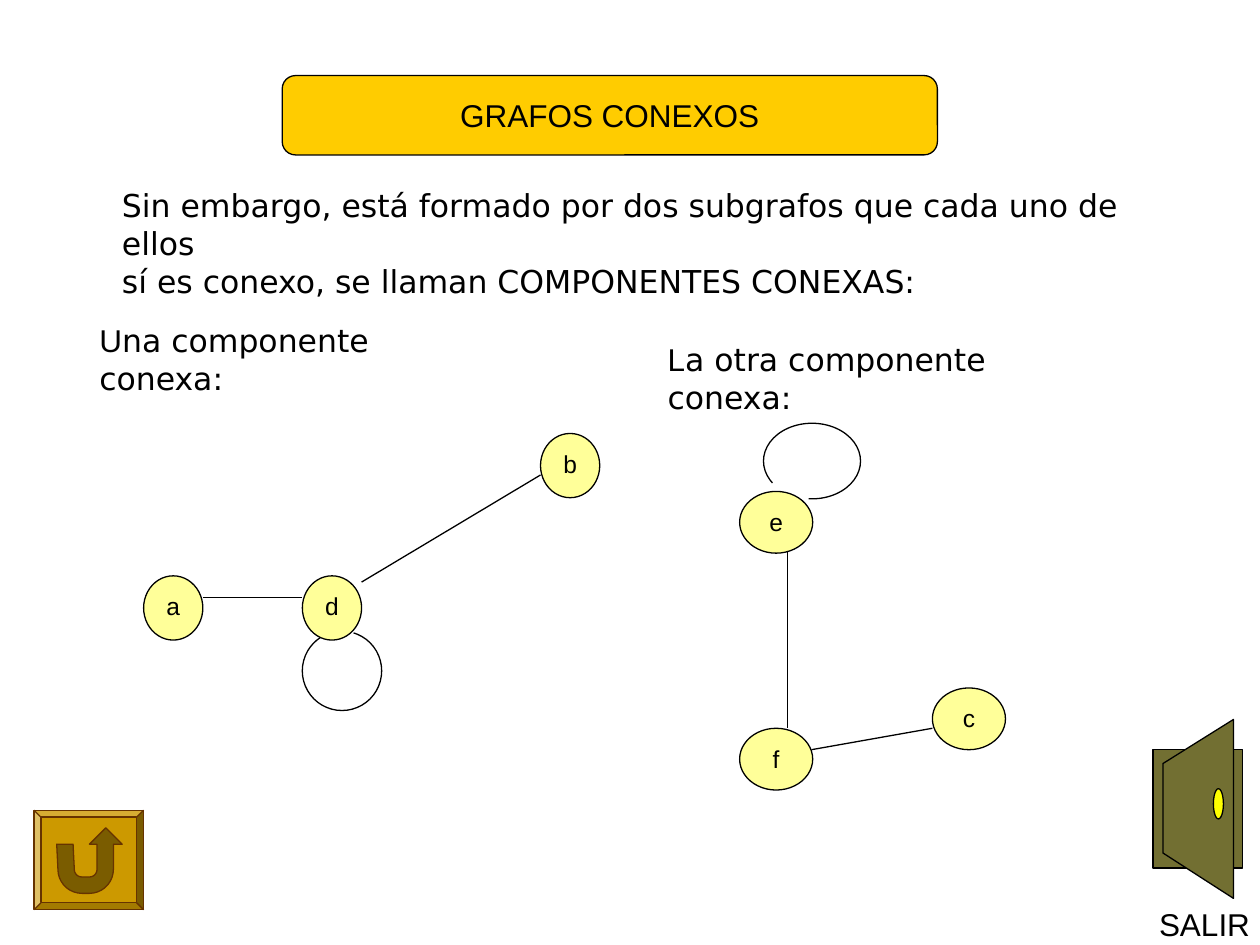
"""Build the slide on the connected components of a graph."""
import math
from dataclasses import dataclass

import lxml.etree
import pptx
import pptx.dml.color
import pptx.enum.shapes
import pptx.enum.text
import pptx.oxml.ns
import pptx.util

Inches = pptx.util.Inches
RGBColor = pptx.dml.color.RGBColor
Kind = pptx.enum.shapes.MSO_SHAPE
Align = pptx.enum.text.PP_ALIGN
Anchor = pptx.enum.text.MSO_ANCHOR

BLACK = RGBColor(0x00, 0x00, 0x00)
TITLE_GOLD = RGBColor(0xFF, 0xCC, 0x00)
NODE_YELLOW = RGBColor(0xFF, 0xFF, 0x99)
DOOR_OLIVE = RGBColor(0x72, 0x6F, 0x32)
KNOB_YELLOW = RGBColor(0xFF, 0xFF, 0x00)
BUTTON_GOLD = RGBColor(0xCC, 0x99, 0x00)
ARROW_BROWN = RGBColor(0x7A, 0x5C, 0x00)
BUTTON_EDGE = RGBColor(0x66, 0x33, 0x00)
LATIN = "Arial"
BODY = "DejaVu Sans"
LINE_WIDTH = pptx.util.Pt(0.75)


@dataclass(frozen=True)
class Node:
    label: str
    left: float
    top: float


@dataclass(frozen=True)
class Edge:
    start: tuple[float, float]
    end: tuple[float, float]


@dataclass(frozen=True)
class Loop:
    area: tuple[float, float, float, float]
    start_angle: float
    end_angle: float


@dataclass(frozen=True)
class Component:
    node_size: tuple[float, float]
    edges: tuple[Edge, ...]
    nodes: tuple[Node, ...]
    loop: Loop


@dataclass(frozen=True)
class Caption:
    area: tuple[float, float, float, float]
    lines: tuple[tuple[tuple[str, str], ...], ...]


COMPONENTS = (
    Component(
        (0.47, 0.51),
        (Edge((2.87, 4.62), (4.29, 3.77)), Edge((1.61, 4.74), (2.4, 4.74))),
        (Node("b", 4.29, 3.44), Node("a", 1.14, 4.57), Node("d", 2.4, 4.57)),
        Loop((2.4, 5.01, 0.63, 0.63), 287, 237),
    ),
    Component(
        (0.58, 0.49),
        (Edge((6.25, 4.38), (6.25, 5.78)), Edge((6.44, 5.95), (7.4, 5.78))),
        (Node("e", 5.87, 3.9), Node("f", 5.87, 5.78), Node("c", 7.4, 5.46)),
        Loop((6.06, 3.36, 0.77, 0.6), 151, 95),
    ),
)
CAPTIONS = (
    Caption((0.87, 1.58, 8.3, 0.7), (
        (("Sin embargo, está formado por dos subgrafos que cada uno de ellos", BODY),),
        (("sí es conexo, se llaman COMPONENTES CONEXAS:", BODY),),
    )),
    Caption((0.69, 2.65, 3.2, 0.4), ((("U", LATIN), ("na componente conexa:", BODY)),)),
    Caption((5.2, 2.8, 3.55, 0.4), ((("L", LATIN), ("a otra componente conexa:", BODY)),)),
)


def add_text(para, text: str, *, size: float = 18, font: str = LATIN, color: RGBColor = BLACK) -> None:
    span = para.add_run()
    span.text = text
    span.font.size = pptx.util.Pt(size)
    span.font.name = font
    span.font.color.rgb = color


def style(shape, fill: RGBColor | None, edge: RGBColor = BLACK) -> None:
    shape.shadow.inherit = False
    if fill is None:
        shape.fill.background()
    else:
        shape.fill.solid()
        shape.fill.fore_color.rgb = fill
    shape.line.color.rgb = edge
    shape.line.width = LINE_WIDTH


def draw_shape(page, kind, area, fill: RGBColor | None, edge: RGBColor = BLACK,
               adjustments: tuple[float, ...] = ()):
    shape = page.shapes.add_shape(kind, *map(Inches, area))
    for index, value in enumerate(adjustments):
        shape.adjustments[index] = value
    style(shape, fill, edge)
    return shape


def draw_outline(page, points: list[tuple[float, float]], fill: RGBColor, edge: RGBColor) -> None:
    corners = [(Inches(x), Inches(y)) for x, y in points]
    builder = page.shapes.build_freeform(*corners[0])
    builder.add_line_segments(corners[1:], close=True)
    style(builder.convert_to_shape(), fill, edge)


def draw_edge(page, edge: Edge) -> None:
    line = page.shapes.add_connector(
        pptx.enum.shapes.MSO_CONNECTOR.STRAIGHT, *map(Inches, edge.start + edge.end))
    line.line.color.rgb = BLACK
    line.line.width = LINE_WIDTH
    lxml.etree.SubElement(line._element.spPr, pptx.oxml.ns.qn("a:effectLst"))


def draw_component(page, component: Component) -> None:
    for edge in component.edges:
        draw_edge(page, edge)
    for node in component.nodes:
        oval = draw_shape(page, Kind.OVAL, (node.left, node.top, *component.node_size), NODE_YELLOW)
        oval.text_frame.vertical_anchor = Anchor.TOP
        para = oval.text_frame.paragraphs[0]
        para.alignment = Align.CENTER
        add_text(para, node.label, size=14)
    loop = component.loop
    draw_shape(page, Kind.ARC, loop.area, None,
               adjustments=(loop.start_angle * 0.6, loop.end_angle * 0.6))


def draw_caption(page, caption: Caption) -> None:
    frame = page.shapes.add_textbox(*map(Inches, caption.area)).text_frame
    frame.word_wrap = True
    frame.vertical_anchor = Anchor.MIDDLE
    for index, line in enumerate(caption.lines):
        para = frame.add_paragraph() if index else frame.paragraphs[0]
        for text, font in line:
            add_text(para, text, font=font)


def draw_title(page) -> None:
    banner = draw_shape(page, Kind.ROUNDED_RECTANGLE, (2.24, 0.6, 5.2, 0.63), TITLE_GOLD,
                        adjustments=(0.167,))
    banner.text_frame.vertical_anchor = Anchor.MIDDLE
    para = banner.text_frame.paragraphs[0]
    para.alignment = Align.CENTER
    add_text(para, "GRAFOS CONEXOS")


def draw_exit_door(page) -> None:
    draw_shape(page, Kind.RECTANGLE, (9.15, 5.95, 0.71, 0.94), DOOR_OLIVE)
    draw_outline(page, [(9.79, 5.71), (9.79, 7.13), (9.23, 6.77), (9.23, 6.06)], DOOR_OLIVE, BLACK)
    draw_shape(page, Kind.OVAL, (9.63, 6.26, 0.08, 0.24), KNOB_YELLOW)
    box = page.shapes.add_textbox(*map(Inches, (9.1, 7.13, 0.92, 0.4)))
    box.text_frame.word_wrap = False
    add_text(box.text_frame.paragraphs[0], "SALIR")


def bend(radius: float) -> list[tuple[float, float]]:
    """Return the lower half of the U, from right to left."""
    return [(center + radius * math.cos(math.radians(angle)),
             6.9 + radius * math.sin(math.radians(angle)))
            for center, first in ((0.71, 0), (0.65, 90))
            for angle in range(first, first + 91, 10)]


def draw_return_button(page) -> None:
    draw_shape(page, Kind.BEVEL, (0.27, 6.43, 0.87, 0.79), BUTTON_GOLD, BUTTON_EDGE, (0.07,))
    head = [(0.77, 6.7), (0.71, 6.7), (0.84, 6.57), (0.97, 6.7), (0.9, 6.7)]
    arrow = [(0.45, 6.7), (0.58, 6.7), *reversed(bend(0.06)), *head, *bend(0.19)]
    draw_outline(page, arrow, ARROW_BROWN, BUTTON_EDGE)


def main() -> None:
    deck = pptx.Presentation()
    deck.slide_width, deck.slide_height = Inches(10), Inches(7.5)
    page = deck.slides.add_slide(deck.slide_layouts[6])
    draw_exit_door(page)
    draw_return_button(page)
    draw_title(page)
    for component in COMPONENTS:
        draw_component(page, component)
    for caption in CAPTIONS:
        draw_caption(page, caption)
    deck.save("out.pptx")


if __name__ == "__main__":
    main()
